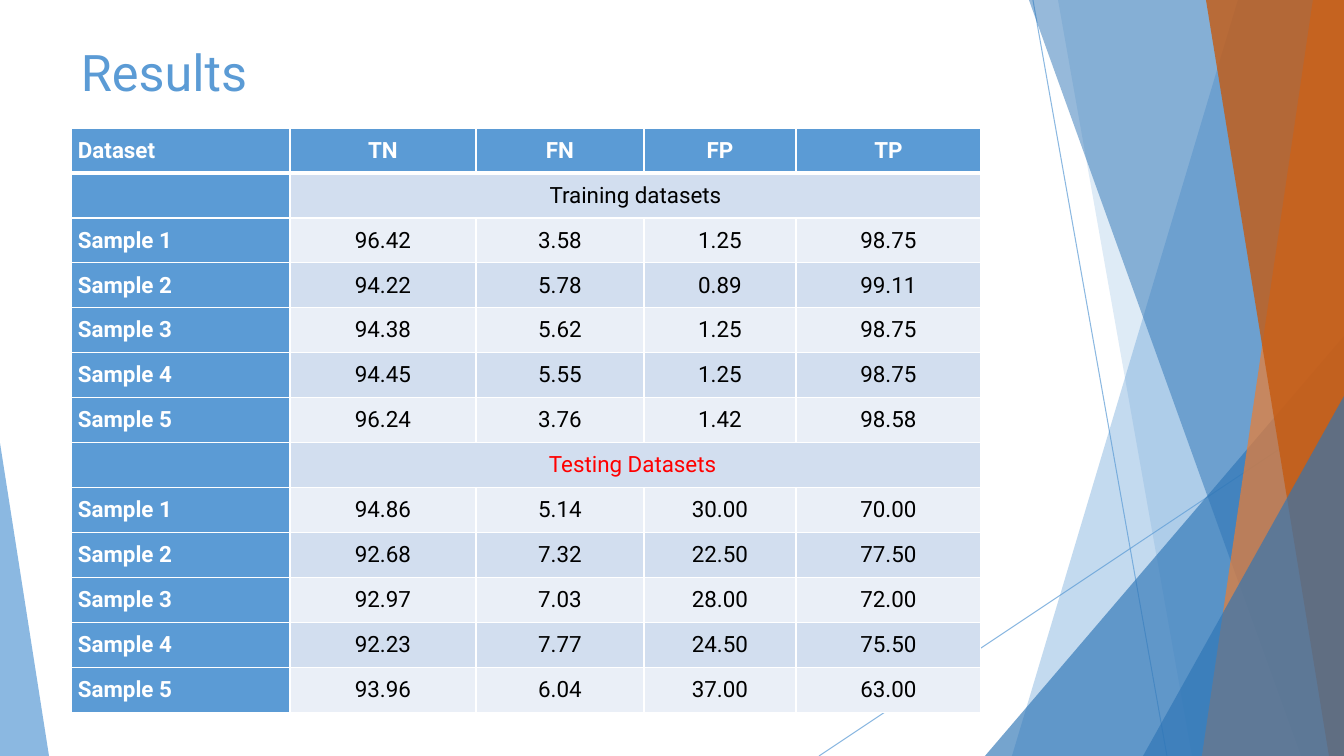
from lxml.etree import SubElement
from pptx import Presentation
from pptx.dml.color import RGBColor
from pptx.enum.shapes import MSO_CONNECTOR, MSO_SHAPE
from pptx.enum.text import MSO_ANCHOR, PP_ALIGN
from pptx.oxml import parse_xml
from pptx.oxml.ns import nsdecls, qn
from pptx.util import Emu, Pt

PX = 914400 / 100.8
FONT = "Roboto"
BLUE, DEEP_BLUE = "5B9BD5", "2E75B6"
ORANGE, RUST = "ED7D31", "C55A11"
WHITE, BLACK, RED = "FFFFFF", "000000", "FF0000"
BANDS = ("EAEFF7", "D2DEEF")

HEADINGS = ("Dataset", "TN", "FN", "FP", "TP")
GROUPS = (
    ("Training datasets", BLACK, (
        ("96.42", "3.58", "1.25", "98.75"),
        ("94.22", "5.78", "0.89", "99.11"),
        ("94.38", "5.62", "1.25", "98.75"),
        ("94.45", "5.55", "1.25", "98.75"),
        ("96.24", "3.76", "1.42", "98.58"))),
    ("Testing Datasets\u00a0", RED, (
        ("94.86", "5.14", "30.00", "70.00"),
        ("92.68", "7.32", "22.50", "77.50"),
        ("92.97", "7.03", "28.00", "72.00"),
        ("92.23", "7.77", "24.50", "75.50"),
        ("93.96", "6.04", "37.00", "63.00"))),
)


def px(*lengths):
    return [Emu(round(length * PX)) for length in lengths]


def paint(color_format, hex_color, opacity=100):
    color_format.rgb = RGBColor.from_string(hex_color)
    if opacity < 100:
        srgb = color_format._xFill.find(qn("a:srgbClr"))
        SubElement(srgb, qn("a:alpha"), val=str(opacity * 1000))


def fill_facet(facet, hex_color, opacity):
    facet.shadow.inherit = False
    facet.fill.solid()
    paint(facet.fill.fore_color, hex_color, opacity)
    facet.line.fill.background()


def style_text(frame, size, hex_color, bold=False, align=PP_ALIGN.LEFT):
    paragraph = frame.paragraphs[0]
    paragraph.alignment = align
    for font in [paragraph.font] + [run.font for run in paragraph.runs]:
        font.name, font.size, font.bold = FONT, Pt(size), bold
        paint(font.color, hex_color)


def add_corner(slide, box, hex_color, opacity, apex):
    corner = slide.shapes.add_shape(MSO_SHAPE.ISOSCELES_TRIANGLE, *px(*box))
    corner.adjustments[0] = apex
    fill_facet(corner, hex_color, opacity)


def add_facets(slide, box):
    left, top, width, height = box

    def ray(x1, y1, x2, y2):
        line = slide.shapes.add_connector(
            MSO_CONNECTOR.STRAIGHT, *px(left + x1, top + y1, left + x2, top + y2))
        line.line.width = Pt(0.75)
        line.line.fill.solid()
        paint(line.line.fill.fore_color, BLUE, 70)
        SubElement(line._element.spPr, qn("a:effectLst"))

    def band(top_x, bottom_x, hex_color, opacity):
        """Fill from a slanted edge to the right side of the box."""
        outline = slide.shapes.build_freeform(left + top_x, top, scale=PX)
        outline.add_line_segments([(left + width, top), (left + width, top + height),
                                   (left + bottom_x, top + height)], close=True)
        fill_facet(outline.convert_to_shape(), hex_color, opacity)

    def right_corner(x, y):
        add_corner(slide, (left + x, top + y, width - x, height - y), DEEP_BLUE, 66, 1)

    # Thin rays, then overlapping facets from back to front
    ray(214, 0, 348, height)
    ray(width, 406, 0, height)
    band(419, 193, BLUE, 36)
    band(239, 373, BLUE, 20)
    right_corner(166, 336)
    band(210, 482, DEEP_BLUE, 50)
    band(494, 383, ORANGE, 70)
    band(387, 510, RUST, 80)
    right_corner(324, 396)


def add_title(slide, box, wording):
    title = slide.shapes.add_textbox(*px(*box)).text_frame
    title.word_wrap = True
    title.vertical_anchor = MSO_ANCHOR.MIDDLE
    title.text = wording
    style_text(title, 36, BLUE)


def set_borders(cell, bottom_width):
    properties = cell._tc.get_or_add_tcPr()
    for index, side in enumerate("LRTB"):
        width = Pt(bottom_width if side == "B" else 1)
        properties.insert(index, parse_xml(
            f'<a:ln{side} {nsdecls("a")} w="{width}"><a:solidFill>'
            f'<a:srgbClr val="{WHITE}"/></a:solidFill></a:ln{side}>'))


def add_results(slide, box, column_widths):
    # Each row: its wording, the colour of its values
    rows = [(HEADINGS, WHITE)]
    for caption, caption_color, samples in GROUPS:
        rows.append((("", caption, "", "", ""), caption_color))
        rows += [((f"Sample {number}", *values), BLACK)
                 for number, values in enumerate(samples, 1)]

    results = slide.shapes.add_table(len(rows), len(HEADINGS), *px(*box)).table
    for column, width in zip(results.columns, px(*column_widths)):
        column.width = width
    for r, (wording, value_color) in enumerate(rows):
        results.rows[r].height = px(box[3] / len(rows))[0]
        for c, text in enumerate(wording):
            cell = results.cell(r, c)
            heading = r == 0 or c == 0
            cell.text = text
            cell.vertical_anchor = MSO_ANCHOR.MIDDLE
            cell.margin_left, cell.margin_right = px(7, 7)
            cell.margin_top = cell.margin_bottom = 0
            cell.fill.solid()
            paint(cell.fill.fore_color, BLUE if heading else BANDS[r % 2])
            set_borders(cell, 3 if r == 0 else 1)
            style_text(cell.text_frame, 16, WHITE if heading else value_color,
                       heading, PP_ALIGN.CENTER if c else PP_ALIGN.LEFT)
        if not wording[0]:
            results.cell(r, 1).merge(results.cell(r, len(HEADINGS) - 1))


presentation = Presentation()
presentation.slide_width, presentation.slide_height = px(1344, 756)
results_slide = presentation.slides.add_slide(presentation.slide_layouts[6])

# Background facets
add_facets(results_slide, (819, 0, 525, 756))
add_corner(results_slide, (0, 443, 49, 313), BLUE, 70, 0)

# Title and results table
add_title(results_slide, (71, 31, 948, 81), "Results")
add_results(results_slide, (71, 128, 910, 585), (219, 186, 168, 152, 185))

presentation.save("out.pptx")
